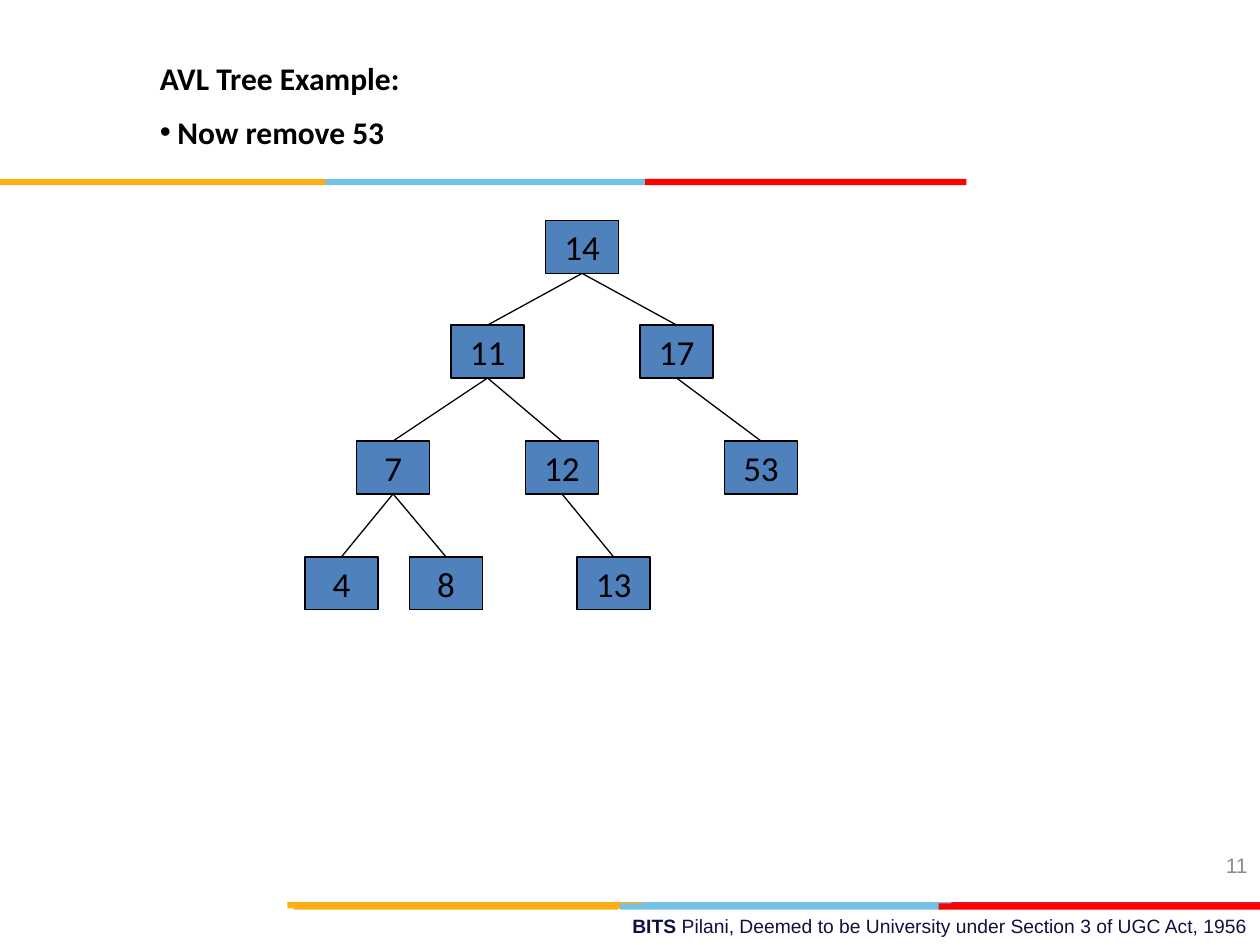
import lxml.etree
import pptx
import pptx.dml.color
import pptx.enum.shapes
import pptx.enum.text
import pptx.oxml.ns
import pptx.util

Inches = pptx.util.Inches
Pt = pptx.util.Pt
ALIGN = pptx.enum.text.PP_ALIGN
ANCHOR = pptx.enum.text.MSO_ANCHOR

AMBER, SKY, RED, CRIMSON = "FCB017", "76C2E5", "FF0000", "E31C24"
NODE_WIDTH, NODE_HEIGHT = 0.58, 0.42

# key: (left, top, parent)
TREE = {
    14: (4.33, 1.75, None),
    11: (3.58, 2.58, 14),
    17: (5.08, 2.58, 14),
    7: (2.83, 3.5, 11),
    12: (4.17, 3.5, 11),
    53: (5.75, 3.5, 17),
    4: (2.42, 4.42, 7),
    8: (3.25, 4.42, 7),
    13: (4.58, 4.42, 12),
}

# top, then (left, width, colour) of each band, from back to front
STRIPES = [
    (7.16, [(5.06, 2.55, SKY), (7.55, 2.45, CRIMSON), (2.28, 2.82, AMBER)]),
    (7.17, [(4.92, 2.55, SKY), (2.33, 2.58, AMBER), (7.45, 2.55, RED)]),
    (1.42, [(2.58, 2.55, SKY), (0, 2.58, AMBER), (5.12, 2.55, RED)]),
]


def rgb(value):
    return pptx.dml.color.RGBColor.from_string(value)


def add_run(paragraph, text, size=18, font="Calibri", color="000000", bold=False):
    run = paragraph.add_run()
    run.text = text
    run.font.size = Pt(size)
    run.font.name = font
    run.font.bold = bold
    run.font.color.rgb = rgb(color)


def add_bullet(paragraph, indent):
    properties = paragraph._p.get_or_add_pPr()
    properties.set("marL", str(Inches(indent)))
    properties.set("indent", str(-Inches(indent)))
    for tag, key, value in (("a:buFont", "typeface", "Arial"), ("a:buChar", "char", "•")):
        element = lxml.etree.SubElement(properties, pptx.oxml.ns.qn(tag))
        element.set(key, value)


class TreeSlide:
    """Holds the slide and the look of its parts."""

    node_fill = "4F81BD"
    ink = "000000"
    line_width = 0.75

    def __init__(self, presentation):
        self.shapes = presentation.slides.add_slide(presentation.slide_layouts[6]).shapes

    def rectangle(self, left, top, width, height, fill):
        shape = self.shapes.add_shape(
            pptx.enum.shapes.MSO_SHAPE.RECTANGLE,
            Inches(left), Inches(top), Inches(width), Inches(height))
        shape.shadow.inherit = False
        shape.fill.solid()
        shape.fill.fore_color.rgb = rgb(fill)
        shape.line.fill.background()
        return shape

    def stripe(self, top, bands):
        for left, width, color in bands:
            self.rectangle(left, top, width, 0.05, color)

    def text_box(self, left, top, width, height, anchor=ANCHOR.TOP):
        frame = self.shapes.add_textbox(
            Inches(left), Inches(top), Inches(width), Inches(height)).text_frame
        frame.word_wrap = True
        frame.vertical_anchor = anchor
        return frame

    def node(self, key, left, top):
        box = self.rectangle(left, top, NODE_WIDTH, NODE_HEIGHT, self.node_fill)
        box.line.color.rgb = rgb(self.ink)
        box.line.width = Pt(self.line_width)
        frame = box.text_frame
        frame.word_wrap = False
        frame.vertical_anchor = ANCHOR.MIDDLE
        label = frame.paragraphs[0]
        label.alignment = ALIGN.CENTER
        add_run(label, str(key), size=20, color=self.ink)
        return box

    def edge(self, parent, child):
        """Join the bottom of the parent to the top of the child."""
        link = self.shapes.add_connector(pptx.enum.shapes.MSO_CONNECTOR.STRAIGHT, 0, 0, 0, 0)
        link.begin_connect(parent, 2)
        link.end_connect(child, 0)
        link.line.color.rgb = rgb(self.ink)
        link.line.width = Pt(self.line_width)
        lxml.etree.SubElement(link._element.spPr, pptx.oxml.ns.qn("a:effectLst"))


def main():
    presentation = pptx.Presentation()
    presentation.slide_width = Inches(10)
    presentation.slide_height = Inches(7.5)
    slide = TreeSlide(presentation)

    footer = slide.text_box(3.58, 7.21, 6.42, 0.29).paragraphs[0]
    footer.alignment = ALIGN.RIGHT
    footer_style = dict(size=11, font="Arial", color="101141")
    add_run(footer, "BITS ", bold=True, **footer_style)
    add_run(footer, "Pilani, Deemed to be University under Section 3 of UGC Act, 1956",
            **footer_style)

    for top, bands in STRIPES:
        slide.stripe(top, bands)

    page_number = slide.text_box(7.67, 6.67, 2.33, 0.4, ANCHOR.MIDDLE).paragraphs[0]
    page_number.alignment = ALIGN.RIGHT
    add_run(page_number, "11", size=12, font="Arial", color="8C8C8C")

    heading = slide.text_box(1.17, 0.42, 7.83, 0.85)
    add_run(heading.paragraphs[0], "AVL Tree Example:", bold=True)
    task = heading.add_paragraph()
    add_bullet(task, 0.14)
    task.space_before = Pt(9)
    add_run(task, "Now remove 53", bold=True)

    nodes = {}
    for key, (left, top, parent) in TREE.items():
        nodes[key] = slide.node(key, left, top)
        if parent is not None:
            slide.edge(nodes[parent], nodes[key])

    presentation.save("out.pptx")


if __name__ == "__main__":
    main()
